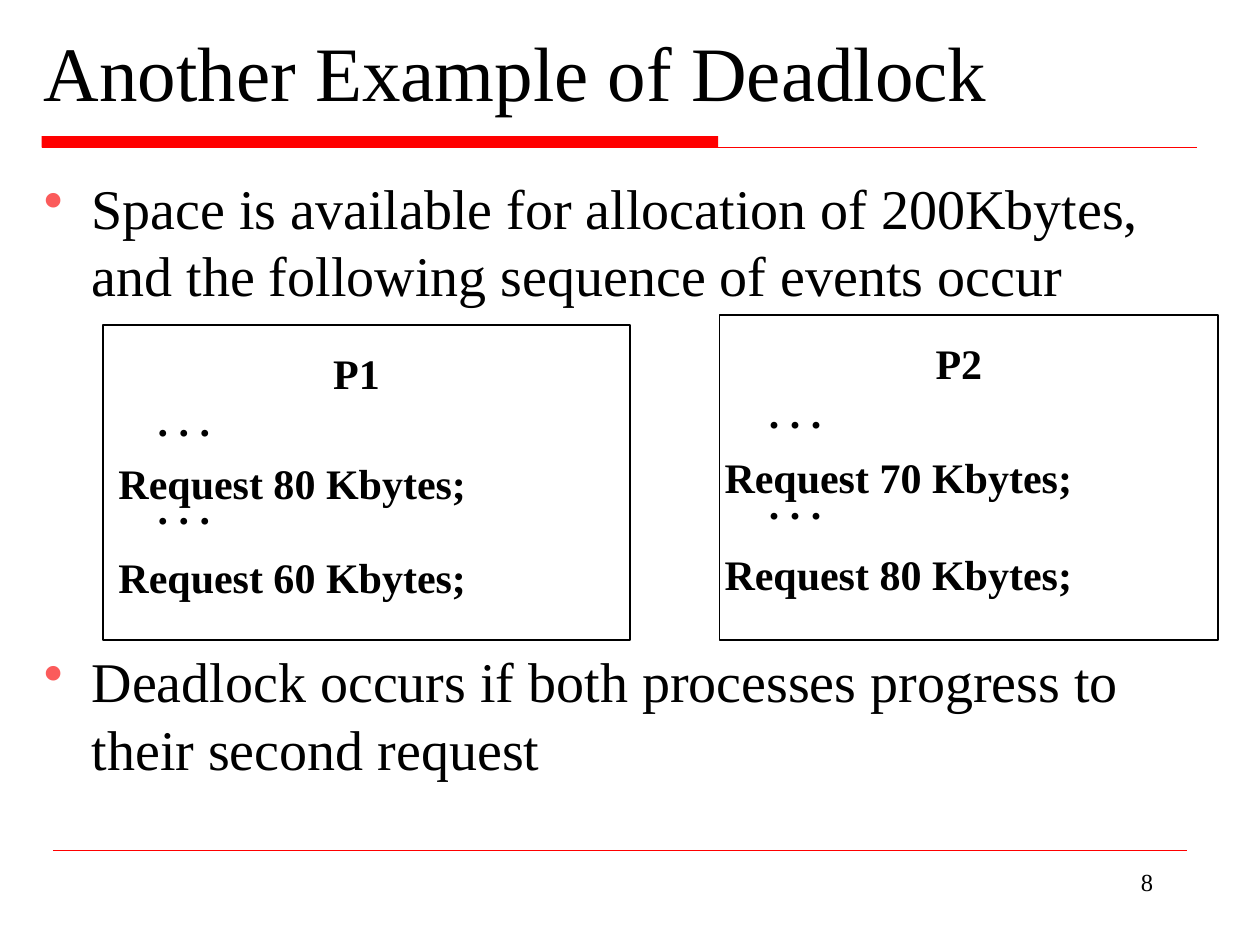
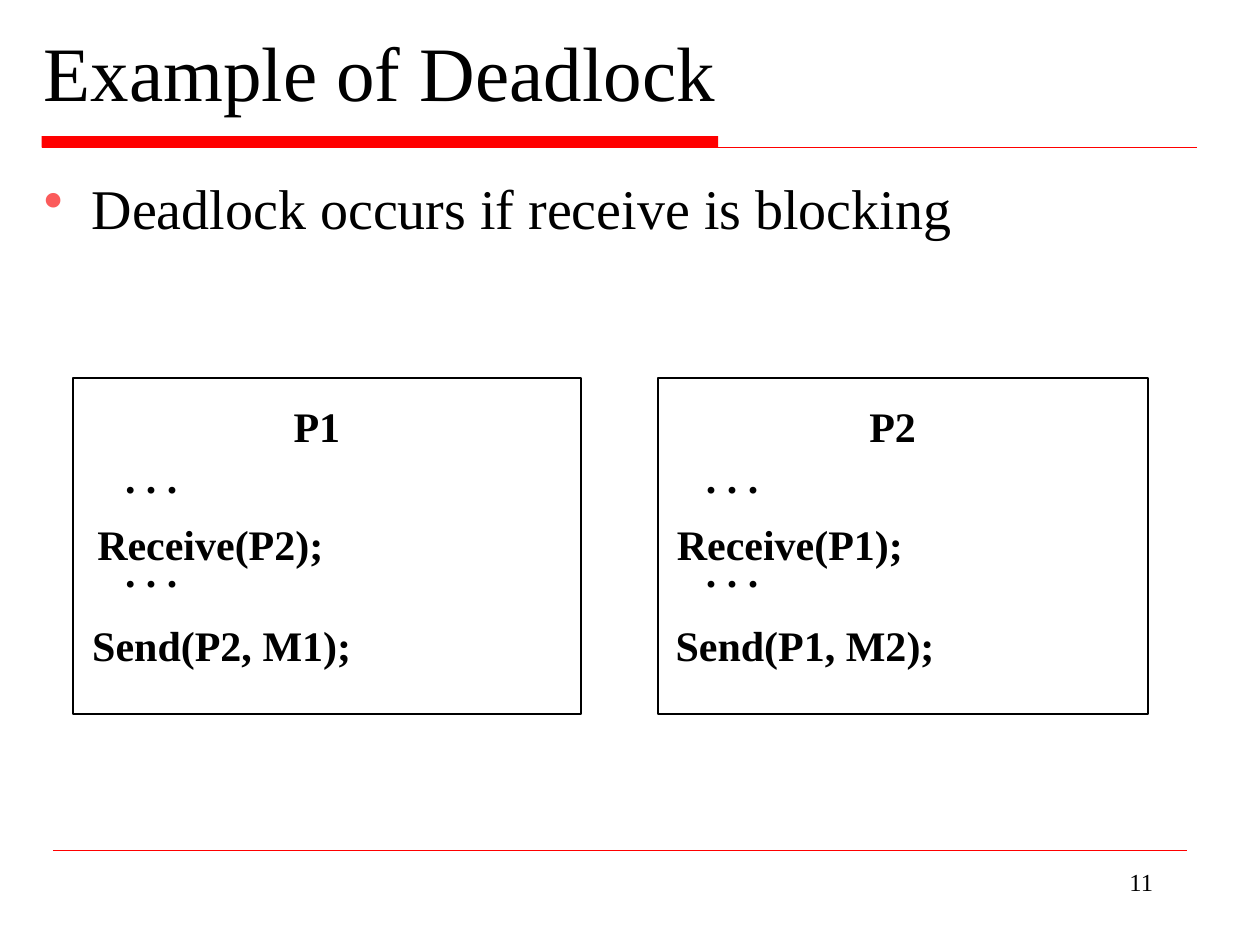
from dataclasses import dataclass

from lxml import etree
from pptx import Presentation
from pptx.dml.color import RGBColor
from pptx.enum.shapes import MSO_CONNECTOR, MSO_SHAPE
from pptx.enum.text import MSO_ANCHOR, MSO_AUTO_SIZE, PP_ALIGN
from pptx.oxml.ns import qn
from pptx.util import Inches, Pt

BLACK = RGBColor(0x00, 0x00, 0x00)
WHITE = RGBColor(0xFF, 0xFF, 0xFF)
RED = RGBColor(0xFF, 0x00, 0x00)
BULLET_RED = RGBColor(0xFB, 0x5B, 0x5B)
FONT = "Times New Roman"
LINE_HEIGHT = 0.5  # height of a one-line box in a process
BULLET_INDENT = Inches(0.38)


@dataclass
class Statement:
    text: str
    offset: float  # from the left edge of the process box
    width: float


@dataclass
class Process:
    name: str
    box: tuple  # left, top, width, height
    dots_offset: float
    statements: tuple


def add_run(paragraph, text, size, bold=False):
    run = paragraph.add_run()
    run.text = text
    run.font.name = FONT
    run.font.size = Pt(size)
    run.font.bold = bold
    run.font.color.rgb = BLACK


def add_text_frame(shapes, box, wrap=True):
    frame = shapes.add_textbox(*map(Inches, box)).text_frame
    frame.word_wrap = wrap
    return frame


def add_line(slide, left, right, y, weight):
    line = slide.shapes.add_connector(
        MSO_CONNECTOR.STRAIGHT, Inches(left), Inches(y), Inches(right), Inches(y))
    line.line.color.rgb = RED
    line.line.width = Pt(weight)
    etree.SubElement(line._element.spPr, qn("a:effectLst"))


def add_rectangle(shapes, box, fill, outline=None):
    shape = shapes.add_shape(MSO_SHAPE.RECTANGLE, *map(Inches, box))
    shape.shadow.inherit = False
    shape.fill.solid()
    shape.fill.fore_color.rgb = fill
    if outline is None:
        shape.line.fill.background()
    else:
        shape.line.color.rgb = outline
        shape.line.width = Pt(1)


def add_slide_frame(presentation, title, number):
    """Add a slide with its title, red rules and page number."""
    slide = presentation.slides.add_slide(presentation.slide_layouts[6])
    add_rectangle(slide.shapes, (0.33, 1.08, 5.37, 0.09), RED)
    add_line(slide, 0.33, 9.5, 1.17, 0.75)
    add_line(slide, 0.42, 9.42, 6.75, 0.25)

    page = add_text_frame(slide.shapes, (7.17, 6.83, 2.08, 0.5)).paragraphs[0]
    page.alignment = PP_ALIGN.RIGHT
    add_run(page, str(number), 14)

    title_frame = add_text_frame(slide.shapes, (0.25, 0.17, 9.33, 0.92))
    title_frame.vertical_anchor = MSO_ANCHOR.MIDDLE
    title_frame.paragraphs[0].line_spacing = 0.8
    add_run(title_frame.paragraphs[0], title, 44)
    return slide


def add_bullet(paragraph):
    properties = paragraph._p.get_or_add_pPr()
    properties.set("marL", str(BULLET_INDENT))
    properties.set("indent", str(-BULLET_INDENT))
    color = etree.SubElement(properties, qn("a:buClr"))
    etree.SubElement(color, qn("a:srgbClr"), val=str(BULLET_RED))
    etree.SubElement(properties, qn("a:buChar"), char="•")


def add_body(slide, box, points):
    """Add bulleted points, each given as (text, space before in points)."""
    frame = add_text_frame(slide.shapes, box)
    for index, (text, space_before) in enumerate(points):
        paragraph = frame.add_paragraph() if index else frame.paragraphs[0]
        paragraph.space_before = Pt(space_before)
        add_bullet(paragraph)
        add_run(paragraph, text, 32)


def add_process(slide, process):
    """Draw one process box; its lines sit at fixed shares of its height."""
    left, top, width, height = process.box
    shapes = slide.shapes.add_group_shape().shapes
    add_rectangle(shapes, process.box, WHITE, BLACK)

    name_width, dots_width = 0.57, 0.62
    name_offset = (width - name_width) / 2 - 0.08
    first, second = process.statements
    lines = (
        (process.name, name_offset, name_width, 0.05),
        (". . .", process.dots_offset, dots_width, 0.2),
        (". . .", process.dots_offset, dots_width, 0.48),
        (first.text, first.offset, first.width, 0.4),
        (second.text, second.offset, second.width, 0.7),
    )
    for text, offset, line_width, share in lines:
        box = (left + offset, top + share * height, line_width, LINE_HEIGHT)
        frame = add_text_frame(shapes, box, wrap=False)
        frame.auto_size = MSO_AUTO_SIZE.SHAPE_TO_FIT_TEXT
        frame.paragraphs[0].alignment = PP_ALIGN.CENTER
        add_run(frame.paragraphs[0], text, 24, bold=True)


def request(kbytes, offset):
    return Statement(f"Request {kbytes} Kbytes;", offset, 2.96)


def receive(source, offset):
    return Statement(f"Receive({source});", offset, 2)


def send(target, message, offset):
    return Statement(f"Send({target}, {message});", offset, 2.26)


def build_memory_slide(presentation):
    slide = add_slide_frame(presentation, "Another Example of Deadlock", 8)
    add_body(slide, (0.25, 1.33, 9.33, 6), (
        ("Space is available for allocation of 200Kbytes, "
         "and the following sequence of events occur", 8),
        ("Deadlock occurs if both processes progress to their second request", 193.6),
    ))
    add_process(slide, Process("P1", (0.82, 2.58, 4.18, 2.5), 0.33,
                               (request(80, 0.02), request(60, 0.02))))
    add_process(slide, Process("P2", (5.71, 2.5, 3.96, 2.58), 0.29,
                               (request(70, -0.06), request(80, -0.06))))


def build_message_slide(presentation):
    slide = add_slide_frame(presentation, "Example of Deadlock", 11)
    add_body(slide, (0.25, 1.33, 9.33, 5.33),
             (("Deadlock occurs if receive is blocking", 8),))
    add_process(slide, Process("P1", (0.58, 3, 4.03, 2.67), 0.31,
                               (receive("P2", 0.09), send("P2", "M1", 0.05))))
    add_process(slide, Process("P2", (5.22, 3, 3.89, 2.67), 0.28,
                               (receive("P1", 0.05), send("P1", "M2", 0.04))))


def main():
    presentation = Presentation()
    presentation.slide_width = Inches(10)
    presentation.slide_height = Inches(7.5)
    build_memory_slide(presentation)
    build_message_slide(presentation)
    presentation.save("out.pptx")


if __name__ == "__main__":
    main()
